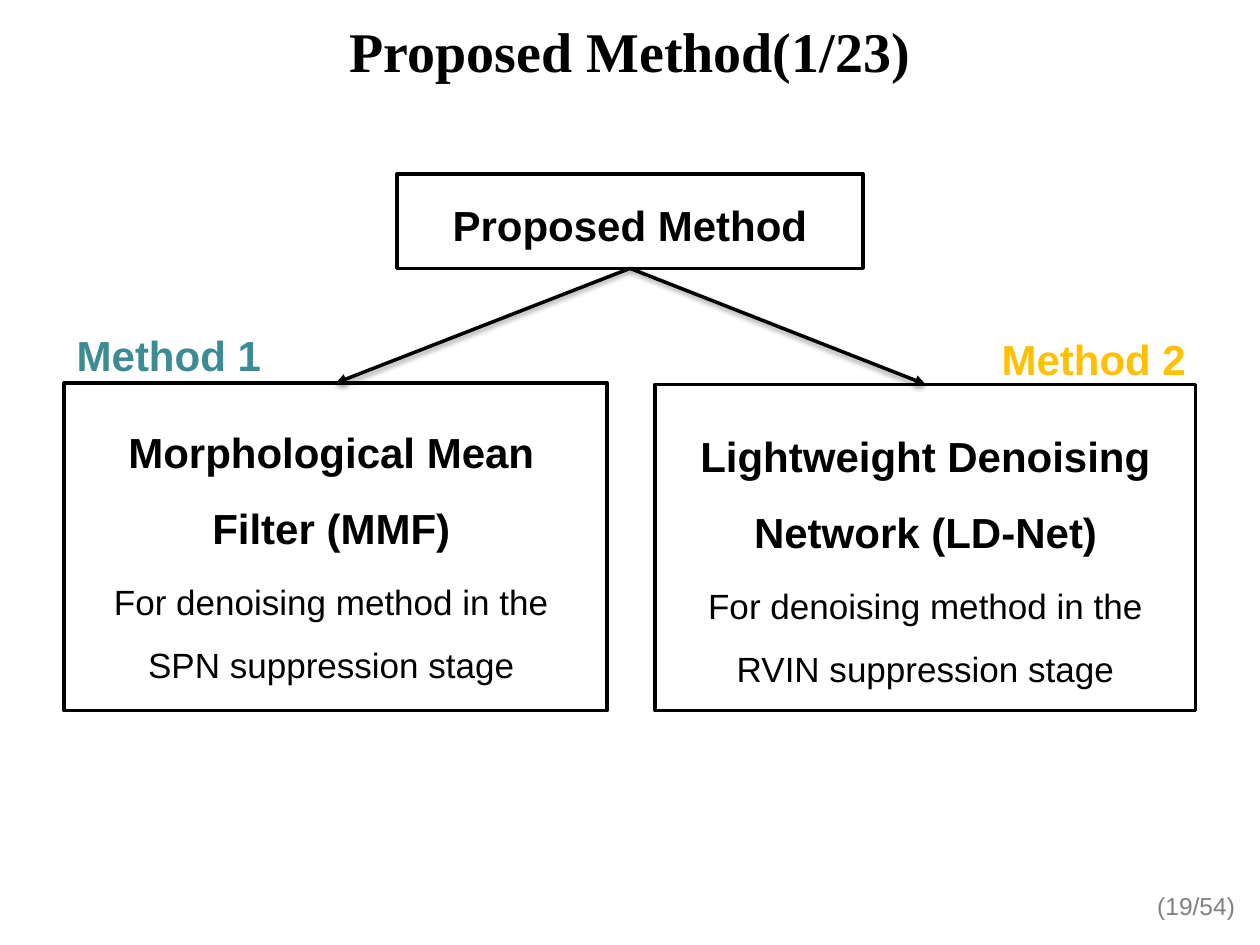
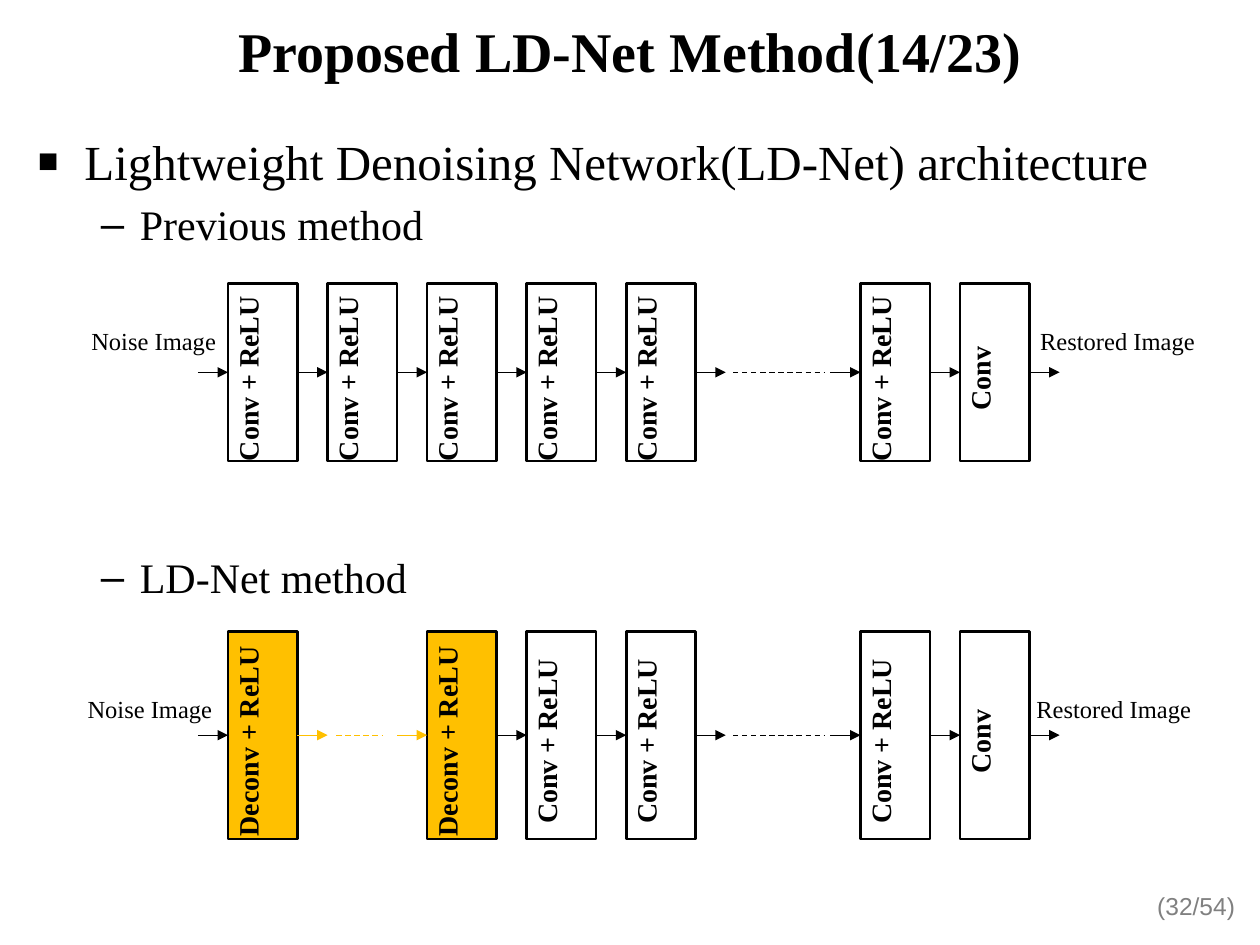
from lxml import etree
from pptx import Presentation
from pptx.dml.color import RGBColor
from pptx.enum.dml import MSO_LINE
from pptx.enum.shapes import MSO_CONNECTOR, MSO_SHAPE
from pptx.enum.text import MSO_ANCHOR, MSO_AUTO_SIZE, PP_ALIGN
from pptx.oxml.ns import qn
from pptx.util import Pt

RECT = MSO_SHAPE.RECTANGLE
STRAIGHT = MSO_CONNECTOR.STRAIGHT
DASH = MSO_LINE.DASH
TOP, MIDDLE = MSO_ANCHOR.TOP, MSO_ANCHOR.MIDDLE
LEFT, CENTER, RIGHT = PP_ALIGN.LEFT, PP_ALIGN.CENTER, PP_ALIGN.RIGHT
SIDE_TOP, SIDE_LEFT, SIDE_BOTTOM, SIDE_RIGHT = range(4)

PX = 9144
SANS, SERIF = "Arial", "Times New Roman"
BLACK, WHITE, GREY = "000000", "FFFFFF", "808080"
TEAL, AMBER = "3C8C93", "FFC000"

LAYER_W, LAYER_GAP = 55, 24
PITCH = LAYER_W + LAYER_GAP
STEM_COUNT = 5
TAIL_OFFSET = 502


def px(*values):
    return [round(v * PX) for v in values]


def rgb(color):
    return RGBColor.from_string(color)


def sub(parent, tag, **attrs):
    child = etree.SubElement(parent, qn(tag))
    for name, value in attrs.items():
        child.set(name, str(value))
    return child


def style(p, font, size, color=BLACK, bold=False, align=LEFT, spacing=None):
    p.alignment = align
    if spacing:
        p.line_spacing = spacing
    for r in p.runs:
        r.font.name, r.font.size, r.font.bold = font, Pt(size), bold
        r.font.color.rgb = rgb(color)


def set_margins(tf, left, top, right, bottom):
    (tf.margin_left, tf.margin_top,
     tf.margin_right, tf.margin_bottom) = px(left, top, right, bottom)


def add_label(s, box, text, font, size, wrap=True, **look):
    tf = s.shapes.add_textbox(*px(*box)).text_frame
    tf.word_wrap = wrap
    tf.text = text
    style(tf.paragraphs[0], font, size, **look)


def add_box(s, box, line_width, fill=WHITE, anchor=TOP):
    shape = s.shapes.add_shape(RECT, *px(*box))
    shape.shadow.inherit = False
    shape.fill.solid()
    shape.fill.fore_color.rgb = rgb(fill)
    shape.line.color.rgb = rgb(BLACK)
    shape.line.width = Pt(line_width)
    shape.text_frame.word_wrap = True
    shape.text_frame.vertical_anchor = anchor
    return shape


def add_line(s, start, end, width=0.75, color=BLACK, dashed=False, shadow=False):
    c = s.shapes.add_connector(STRAIGHT, *px(*start, *end))
    c.line.color.rgb = rgb(color)
    c.line.width = Pt(width)
    if dashed:
        c.line.dash_style = DASH
    else:
        sub(c.line._get_or_add_ln(), "a:tailEnd", type="triangle",
            w="med", len="med")
    effects = sub(c._element.spPr, "a:effectLst")
    if shadow:
        outer = sub(effects, "a:outerShdw", blurRad=Pt(3.1), dist=Pt(1.6),
                    dir=5400000, rotWithShape=0)
        sub(sub(outer, "a:srgbClr", val=BLACK), "a:alpha", val=38000)
    return c


def place(ph, box):
    ph.left, ph.top, ph.width, ph.height = px(*box)
    ph.text_frame.auto_size = MSO_AUTO_SIZE.NONE
    return ph.text_frame


def new_slide(prs, layout, title, page):
    s = prs.slides.add_slide(prs.slide_layouts[layout])
    tf = place(s.shapes.title, (0, 0, 1000, 79))
    tf.vertical_anchor = MIDDLE
    tf.text = title
    style(tf.paragraphs[0], SERIF, 32, bold=True, align=CENTER)
    add_label(s, (901, 702, 89, 45), f"({page}/54)", SANS, 14,
              color=GREY, align=RIGHT)
    return s


def root_box(s, box, text):
    root = add_box(s, box, 2)
    tf = root.text_frame
    set_margins(tf, 0, 0, 0, 0)
    tf.text = text
    style(tf.paragraphs[0], SANS, 24, bold=True, align=CENTER, spacing=1.5)
    return root


def method_card(s, box, root, tag, tag_box, tag_look, heading, purpose, margins):
    left, top, width, height = box
    dx, dy, tag_width = tag_box
    card = add_box(s, box, 2, anchor=MIDDLE)
    tf = card.text_frame
    set_margins(tf, *margins)
    tf.text = heading
    style(tf.paragraphs[0], SANS, 24, bold=True, align=CENTER, spacing=1.5)
    p = tf.add_paragraph()
    p.text = purpose
    p.space_before = Pt(4)
    style(p, SANS, 20, align=CENTER, spacing=1.5)
    add_label(s, (left + dx, top + dy, tag_width, 64), tag, SANS, 24,
              bold=True, spacing=1.5, **tag_look)
    c = add_line(s, (500, 213), (left + width / 2, top), 2, shadow=True)
    c.begin_connect(root, SIDE_BOTTOM)
    c.end_connect(card, SIDE_TOP)


def outline(s, box, items):
    tf = place(s.placeholders[1], box)
    for i, (level, text, before) in enumerate(items):
        p = tf.paragraphs[0] if i == 0 else tf.add_paragraph()
        p.text, p.level = text, level
        p.space_before = Pt(before)
        indent, hang = ((37, 37), (81, 31))[level]
        pPr = p._p.get_or_add_pPr()
        pPr.set("marL", str(indent * PX))
        pPr.set("indent", str(-hang * PX))
        sub(pPr, "a:buSzPct", val=(70000, 100000)[level])
        sub(pPr, "a:buFont", typeface=SANS)
        sub(pPr, "a:buChar", char="■–"[level])
        style(p, SERIF, (28, 24)[level])


def layer_box(s, box, label):
    layer = add_box(s, box, 1.5, AMBER if label.startswith("Deconv") else WHITE)
    tf = layer.text_frame
    set_margins(tf, 2, 10, 2, 0)
    tf._txBody.find(qn("a:bodyPr")).set("vert", "vert270")
    tf.text = label
    style(tf.paragraphs[0], SERIF, 16, bold=True, align=CENTER)
    return layer


def network_row(s, left, top, height, labels, note_left, note_top):
    mid = top + height / 2
    xs = [left + PITCH * i if i < STEM_COUNT
          else left + TAIL_OFFSET + PITCH * (i - STEM_COUNT)
          for i in range(len(labels))]
    layers = {x: layer_box(s, (x, top, LAYER_W, height), label)
              for x, label in zip(xs, labels) if label}
    skipped = [x for x, label in zip(xs, labels) if not label]

    for x, layer in layers.items():
        before, after = x - PITCH, x + PITCH
        c = add_line(s, (x - LAYER_GAP, mid), (x, mid),
                     color=AMBER if before in skipped else BLACK)
        if before in layers:
            c.begin_connect(layers[before], SIDE_RIGHT)
        c.end_connect(layer, SIDE_LEFT)
        if after not in layers:
            c = add_line(s, (x + LAYER_W, mid), (after, mid),
                         color=AMBER if after in skipped else BLACK)
            c.begin_connect(layer, SIDE_RIGHT)

    for x in skipped:
        add_line(s, (x + 7, mid), (x + 43, mid), color=AMBER, dashed=True)
    add_line(s, (left + 401, mid), (left + 474, mid), dashed=True)

    for text, offset, width in (("Noise Image", 0, 120),
                                ("Restored Image", 753, 144)):
        add_label(s, (note_left + offset, note_top, width, 34), text, SERIF, 14,
                  wrap=False, align=CENTER)


def overview_slide(prs):
    s = new_slide(prs, 5, "Proposed Method(1/23)", 19)
    root = root_box(s, (315, 138, 370, 75), "Proposed Method")
    method_card(s, (51, 304, 431, 260), root,
                "Method 1", (0, -67, 431), {"color": TEAL},
                "Morphological Mean Filter (MMF)",
                "For denoising method in the SPN suppression stage",
                (10, 5, 17, 10))
    method_card(s, (520, 305, 429, 259), root,
                "Method 2", (0, -65, 431), {"color": AMBER, "align": RIGHT},
                "Lightweight Denoising Network (LD-Net)",
                "For denoising method in the RVIN suppression stage",
                (10, 5, 10, 5))


def architecture_slide(prs):
    s = new_slide(prs, 1, "Proposed LD-Net Method(14/23)", 32)
    outline(s, (20, 99, 969, 582), [
        (0, "Lightweight Denoising Network(LD-Net) architecture", 0),
        (1, "Previous method", 5),
        (1, "LD-Net method", 173),
    ])
    conv, deconv, last = "Conv + ReLU", "Deconv + ReLU", "Conv"
    network_row(s, 181, 225, 141, [conv] * 6 + [last], 62, 254)
    network_row(s, 181, 501, 165,
                [deconv, "", deconv, conv, conv, conv, last], 59, 546)


def main():
    prs = Presentation()
    prs.slide_width, prs.slide_height = px(1000, 750)
    overview_slide(prs)
    architecture_slide(prs)
    prs.save("out.pptx")


if __name__ == "__main__":
    main()
